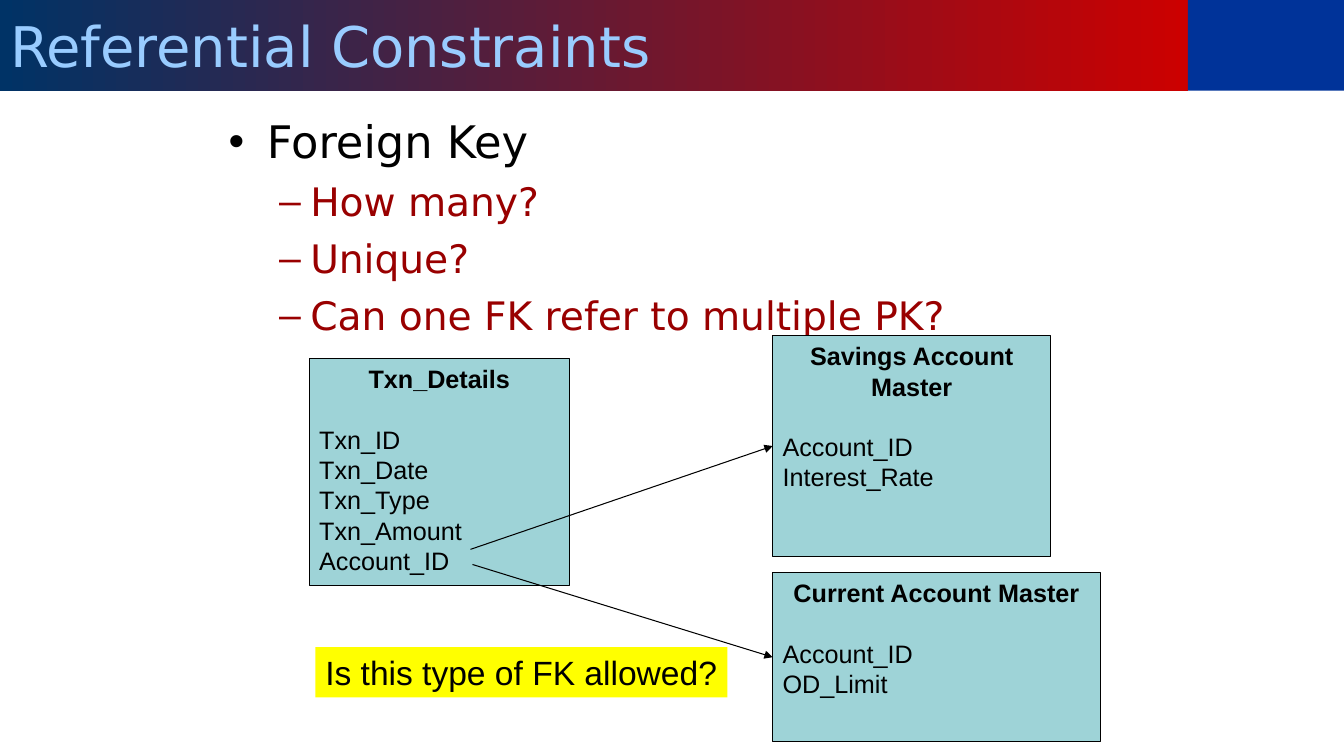
from lxml.etree import SubElement
from pptx import Presentation
from pptx.dml.color import RGBColor
from pptx.enum.shapes import MSO_CONNECTOR, MSO_SHAPE
from pptx.enum.text import MSO_ANCHOR, MSO_AUTO_SIZE, PP_ALIGN
from pptx.oxml.ns import qn
from pptx.util import Inches, Pt

TITLE = "Referential Constraints"
# level, text
BULLETS = [
    (0, "Foreign Key"),
    (1, "How many?"),
    (1, "Unique?"),
    (1, "Can one FK refer to multiple PK?"),
]
# bullet, size, colour, space before, left margin, hanging indent
LEVELS = [
    ("•", 32, "000000", 0, 0.38, 0.38),
    ("–", 28, "990000", 7, 0.81, 0.31),
]
# name, columns, (left, top, width, height)
TABLES = [
    ("Txn_Details",
     ["Txn_ID", "Txn_Date", "Txn_Type", "Txn_Amount", "Account_ID"],
     (3.07, 3.56, 2.58, 2.25)),
    ("Savings Account Master", ["Account_ID", "Interest_Rate"],
     (7.67, 3.33, 2.76, 2.19)),
    ("Current Account Master", ["Account_ID", "OD_Limit"],
     (7.67, 5.68, 3.25, 1.68)),
]
# start point, table pointed at
REFERENCES = [
    ((4.69, 5.6), "Current Account Master"),
    ((4.67, 5.45), "Savings Account Master"),
]
QUESTION = "Is this type of FK allowed?"
LINE_PITCH = Pt(21.6)


def rgb(value):
    return RGBColor.from_string(value)


def place(s, box):
    s.left, s.top, s.width, s.height = map(Inches, box)


def style(font, name, size, colour, bold=False):
    font.name, font.size, font.bold = name, Pt(size), bold
    font.color.rgb = rgb(colour)


def add_rect(slide, box, fill, line=None):
    s = slide.shapes.add_shape(MSO_SHAPE.RECTANGLE, *map(Inches, box))
    s.shadow.inherit = False
    s.fill.solid()
    s.fill.fore_color.rgb = rgb(fill)
    if line:
        s.line.color.rgb = rgb(line)
        s.line.width = Pt(0.75)
    else:
        s.line.fill.background()
    return s


def add_table_box(slide, name, columns, box):
    """Rectangle holding a bold table name and its column names."""
    s = add_rect(slide, box, "9ED3D7", "000000")
    tf = s.text_frame
    tf.vertical_anchor = MSO_ANCHOR.TOP
    tf.text = "\n".join([name] + columns)
    for i, p in enumerate(tf.paragraphs):
        heading = i == 0
        p.alignment = PP_ALIGN.CENTER if heading else PP_ALIGN.LEFT
        p.line_spacing = LINE_PITCH
        p.space_after = LINE_PITCH if heading else Pt(0)
        style(p.runs[0].font, "Arial", 18, "000000", heading)
    return s


def add_arrow(slide, start, target):
    """Arrow from a point to the middle of the target's left side."""
    x, y = map(Inches, start)
    c = slide.shapes.add_connector(MSO_CONNECTOR.STRAIGHT, x, y, x, y)
    c.end_connect(target, 1)
    c.line.color.rgb = rgb("000000")
    c.line.width = Pt(0.75)
    SubElement(c.line._get_or_add_ln(), qn("a:tailEnd"), type="triangle")
    SubElement(c._element.spPr, qn("a:effectLst"))


def fill_title(s):
    place(s, (0, 0, 11.79, 0.9))
    s.fill.gradient()
    s.fill.gradient_angle = 0
    for stop, colour in zip(s.fill.gradient_stops, ("003366", "CC0000")):
        stop.color.rgb = rgb(colour)
    tf = s.text_frame
    tf.text = TITLE
    tf.vertical_anchor = MSO_ANCHOR.MIDDLE
    tf.auto_size = MSO_AUTO_SIZE.NONE
    p = tf.paragraphs[0]
    p.alignment = PP_ALIGN.LEFT
    style(p.runs[0].font, "DejaVu Sans", 40, "99CCFF")


def fill_body(s):
    place(s, (2.17, 1.08, 9, 5.62))
    tf = s.text_frame
    tf.text = "\n".join(text for _, text in BULLETS)
    tf.vertical_anchor = MSO_ANCHOR.TOP
    tf.auto_size = MSO_AUTO_SIZE.NONE
    for p, (level, _) in zip(tf.paragraphs, BULLETS):
        bullet, size, colour, before, margin, hang = LEVELS[level]
        p.level = level
        p.space_before = Pt(before)
        pPr = p._p.get_or_add_pPr()
        pPr.set("marL", str(Inches(margin)))
        pPr.set("indent", str(-Inches(hang)))
        SubElement(pPr, qn("a:buChar"), char=bullet)
        style(p.runs[0].font, "DejaVu Sans", size, colour)
    for side in ("left", "right"):
        setattr(tf, f"margin_{side}", Inches(0.1))


def main():
    prs = Presentation()
    prs.slide_width, prs.slide_height = Inches(13.34), Inches(7.5)
    slide = prs.slides.add_slide(prs.slide_layouts[1])
    fill_title(slide.shapes.title)
    fill_body(slide.placeholders[1])
    add_rect(slide, (11.79, 0, 1.55, 0.9), "003399")

    boxes = {name: add_table_box(slide, name, columns, box)
             for name, columns, box in TABLES}
    for start, name in REFERENCES:
        add_arrow(slide, start, boxes[name])

    tf = add_rect(slide, (3.13, 6.42, 4.09, 0.5), "FFFF00").text_frame
    tf.word_wrap = False
    tf.text = QUESTION
    p = tf.paragraphs[0]
    p.alignment = PP_ALIGN.LEFT
    style(p.runs[0].font, "Arial", 24, "000000")
    prs.save("out.pptx")


if __name__ == "__main__":
    main()
